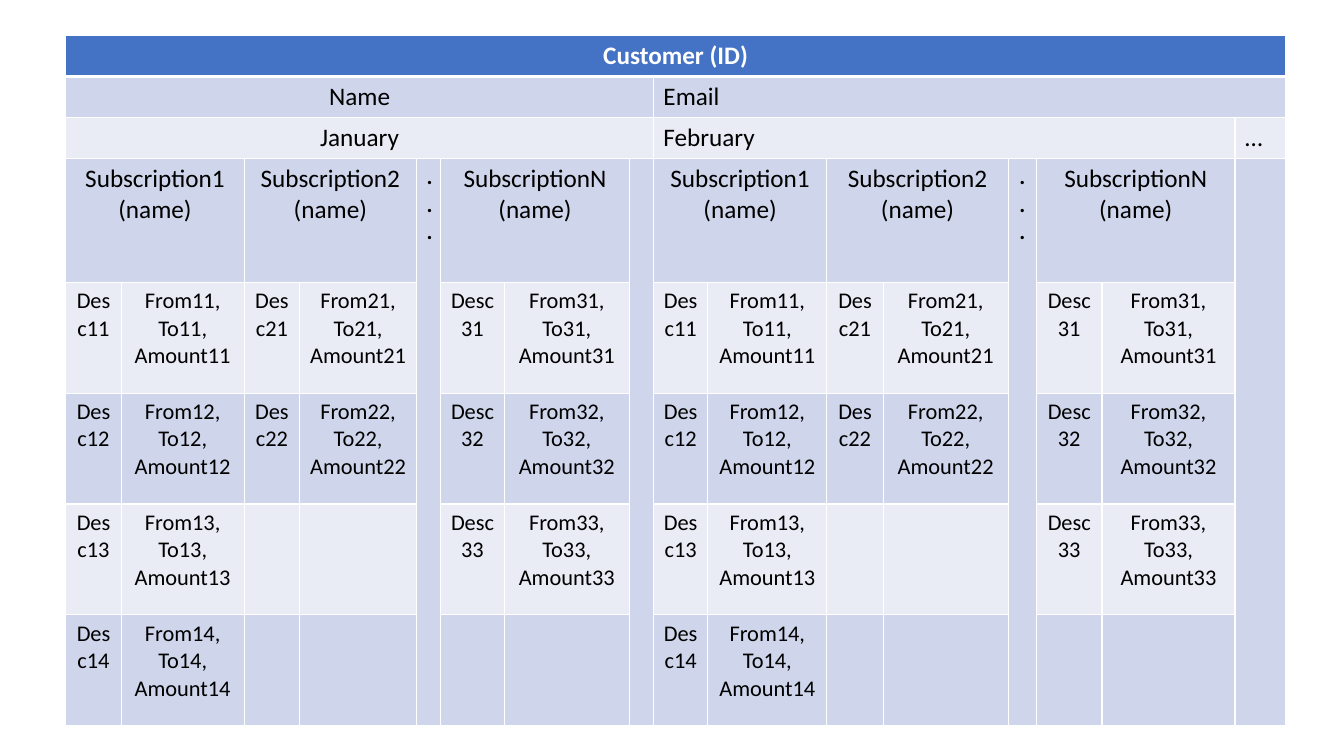
from dataclasses import dataclass

from lxml.etree import SubElement
from pptx import Presentation
from pptx.dml.color import RGBColor
from pptx.enum.text import PP_ALIGN
from pptx.oxml.ns import qn
from pptx.util import Pt


@dataclass(frozen=True)
class Theme:
    font: str = "Calibri"
    header_fill: str = "4472C4"
    dark_band: str = "CFD5EA"
    light_band: str = "E9EBF5"
    white: str = "FFFFFF"
    black: str = "000000"
    heading_size: float = 18
    detail_size: float = 16
    thin_line: float = 1
    thick_line: float = 3


THEME = Theme()

# Table layout, in points
TABLE_LEFT, TABLE_TOP = 47, 25.5
COLUMN_WIDTHS = [39.6, 87.8, 39.6, 83.6, 16.6, 45.4, 89.3, 16.6,
                 38.9, 85, 40.3, 89.3, 20.2, 46.8, 95, 36]
ROW_HEIGHTS = [26] * 3 + [88.5] + [79.2] * 4

# Each month block: subscriptions as (label, column offset, number of details)
SUBSCRIPTIONS = [("1", 0, 4), ("2", 2, 2), ("N", 5, 3)]
MONTH_COLUMNS = 8
DOTS_OFFSET = 4
SUBSCRIPTION_ROW = 3
DETAIL_ROW = 4


def add_borders(cell, row):
    """Draw white borders, with a thick line below the header row."""
    properties = cell._tc.get_or_add_tcPr()
    for side in "LRTB":
        thick = (row, side) in ((0, "B"), (1, "T"))
        width = THEME.thick_line if thick else THEME.thin_line
        line = SubElement(properties, qn(f"a:ln{side}"), w=str(Pt(width)))
        fill = SubElement(line, qn("a:solidFill"))
        SubElement(fill, qn("a:srgbClr"), val=THEME.white)


def add_grid(slide):
    """Add the empty table with its sizes, bands and borders."""
    frame = slide.shapes.add_table(
        len(ROW_HEIGHTS), len(COLUMN_WIDTHS), Pt(TABLE_LEFT), Pt(TABLE_TOP),
        Pt(sum(COLUMN_WIDTHS)), Pt(sum(ROW_HEIGHTS)))
    table = frame.table
    for column, width in zip(table.columns, COLUMN_WIDTHS):
        column.width = Pt(width)
    for row_index, (row, height) in enumerate(zip(table.rows, ROW_HEIGHTS)):
        row.height = Pt(height)
        band = THEME.dark_band if row_index % 2 else THEME.light_band
        color = band if row_index else THEME.header_fill
        for cell in row.cells:
            add_borders(cell, row_index)
            cell.fill.solid()
            cell.fill.fore_color.rgb = RGBColor.from_string(color)
    return table


def merge(table, row, column, row_span=1, column_span=1):
    last = table.cell(row + row_span - 1, column + column_span - 1)
    table.cell(row, column).merge(last)


def write(table, row, column, text, size=THEME.heading_size, bold=False,
          color=THEME.black, alignment=PP_ALIGN.CENTER):
    """Fill one cell; each line of the text is a paragraph."""
    cell = table.cell(row, column)
    cell.text = text
    font_format = {"name": THEME.font, "size": Pt(size), "bold": bold}
    for paragraph in cell.text_frame.paragraphs:
        paragraph.alignment = alignment
        for run in paragraph.runs:
            for attribute, value in font_format.items():
                setattr(run.font, attribute, value)
            run.font.color.rgb = RGBColor.from_string(color)


def add_headings(table):
    """Write the customer, contact and month rows."""
    merge(table, 0, 0, column_span=len(COLUMN_WIDTHS))
    write(table, 0, 0, "Customer (ID)", bold=True, color=THEME.white)
    headings = [
        (1, 0, 8, "Name", PP_ALIGN.CENTER),
        (1, 8, 8, "Email", PP_ALIGN.LEFT),
        (2, 0, 8, "January", PP_ALIGN.CENTER),
        (2, 8, 7, "February", PP_ALIGN.LEFT),
        (2, 15, 1, "…", PP_ALIGN.LEFT),
    ]
    for row, column, span, text, alignment in headings:
        if span > 1:
            merge(table, row, column, column_span=span)
        write(table, row, column, text, alignment=alignment)


def add_month(table, start):
    """Write the subscriptions of one month and their details."""
    for number, (label, offset, details) in enumerate(SUBSCRIPTIONS, 1):
        column = start + offset
        merge(table, SUBSCRIPTION_ROW, column, column_span=2)
        write(table, SUBSCRIPTION_ROW, column, f"Subscription{label}\n(name)")
        for index in range(details):
            key = f"{number}{index + 1}"
            row = DETAIL_ROW + index
            write(table, row, column, f"Desc{key}", THEME.detail_size)
            write(table, row, column + 1,
                  f"From{key}, To{key}, Amount{key}", THEME.detail_size)

    # Tall columns: dots between subscriptions, blank at the month's end
    tall_rows = len(ROW_HEIGHTS) - SUBSCRIPTION_ROW
    for offset in (DOTS_OFFSET, MONTH_COLUMNS - 1):
        merge(table, SUBSCRIPTION_ROW, start + offset, row_span=tall_rows)
    write(table, SUBSCRIPTION_ROW, start + DOTS_OFFSET, "...",
          THEME.detail_size, bold=True)


def main():
    presentation = Presentation()
    presentation.slide_width, presentation.slide_height = Pt(960), Pt(540)
    slide = presentation.slides.add_slide(presentation.slide_layouts[6])
    table = add_grid(slide)
    add_headings(table)
    for start in range(0, len(COLUMN_WIDTHS), MONTH_COLUMNS):
        add_month(table, start)
    presentation.save("out.pptx")


if __name__ == "__main__":
    main()
